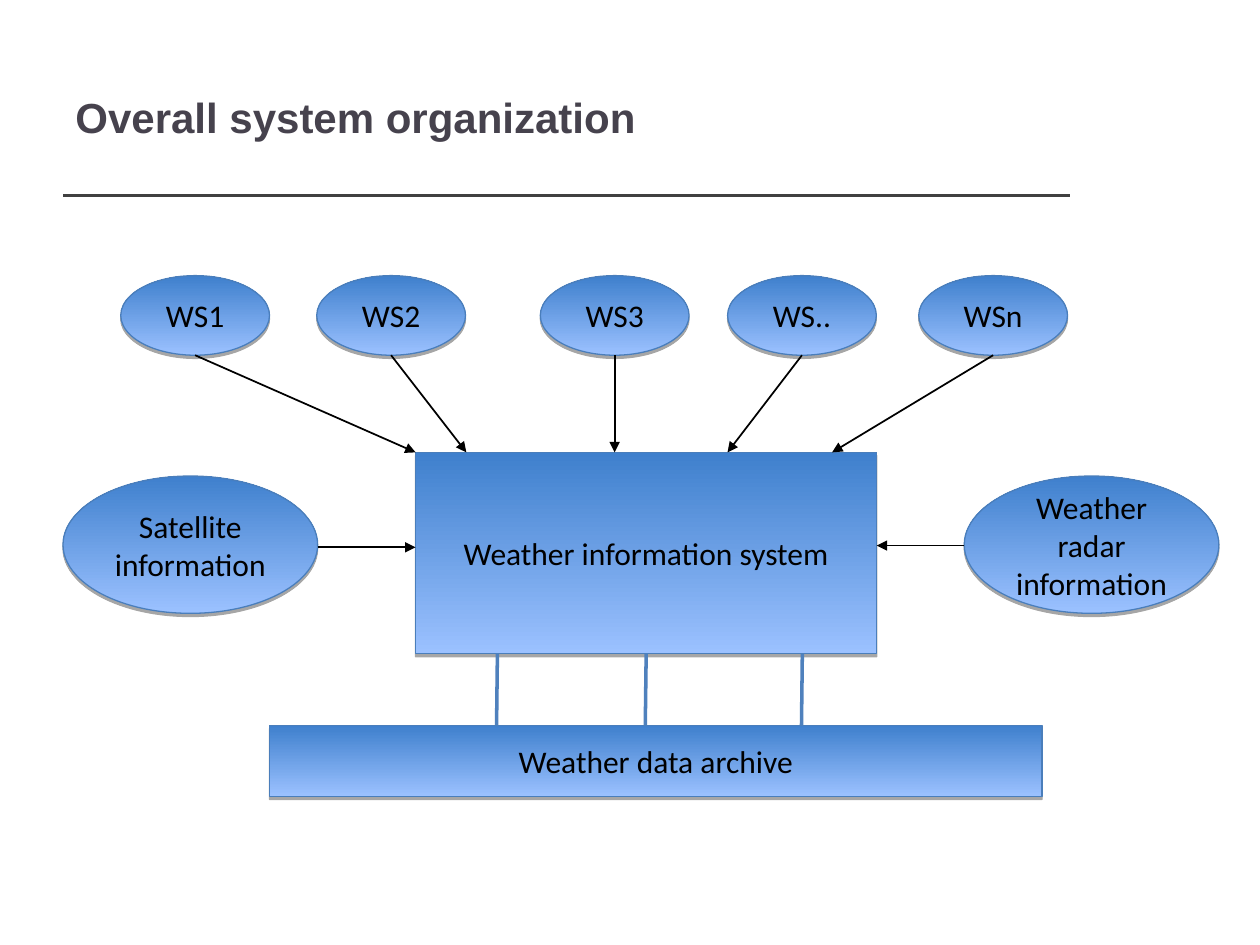
from lxml.etree import SubElement
from pptx import Presentation
from pptx.dml.color import RGBColor
from pptx.enum.shapes import MSO_CONNECTOR as CONN, MSO_SHAPE as SHAPE
from pptx.enum.text import MSO_ANCHOR as ANCHOR, PP_ALIGN as ALIGN
from pptx.oxml.ns import qn
from pptx.util import Pt

BLACK = RGBColor(0x00, 0x00, 0x00)
TITLE = RGBColor(0x46, 0x42, 0x4D)
RULE = RGBColor(0x40, 0x40, 0x40)
LIGHT = RGBColor(0x9B, 0xC1, 0xFF)
DARK = RGBColor(0x3F, 0x80, 0xCD)
BORDER = RGBColor(0x4A, 0x7E, 0xBB)
LINK = RGBColor(0x4F, 0x81, 0xBD)

STATION_TOP, STATION_W, STATION_H = 157.5, 85, 45.5
SYSTEM_LEFT, SYSTEM_TOP, SYSTEM_W, SYSTEM_H = 237.5, 258.5, 263.5, 115
SYSTEM_RIGHT = SYSTEM_LEFT + SYSTEM_W
SYSTEM_BOTTOM = SYSTEM_TOP + SYSTEM_H
ARCHIVE_TOP = 414.5
SOURCE_TOP, SOURCE_W, SOURCE_H = 272, 145.5, 78.5
STATIONS = [
    ("WS1", 69, SYSTEM_LEFT),
    ("WS2", 181, 266.5),
    ("WS3", 308.75, 351.25),
    ("WS..", 415.75, 415.75),
    ("WSn", 525, 475.5),
]


def set_text(sp, text, size=18, font="Calibri", color=BLACK, bold=False, align=ALIGN.CENTER):
    tf = sp.text_frame
    tf.word_wrap = True
    tf.vertical_anchor = ANCHOR.MIDDLE
    p = tf.paragraphs[0]
    p.alignment = align
    r = p.add_run()
    r.text = text
    r.font.size = Pt(size)
    r.font.name = font
    r.font.bold = bold
    r.font.color.rgb = color


def add_shadow(sp):
    sp.shadow.inherit = False
    effects = sp._element.spPr.find(qn("a:effectLst"))
    shadow = SubElement(effects, qn("a:outerShdw"), blurRad="0", dist=str(Pt(1.8)),
                        dir="5400000", rotWithShape="0")
    color = SubElement(shadow, qn("a:srgbClr"), val=str(BLACK))
    SubElement(color, qn("a:alpha"), val="35000")


def add_node(s, kind, text, left, top, width, height):
    sp = s.shapes.add_shape(kind, Pt(left), Pt(top), Pt(width), Pt(height))
    sp.fill.gradient()
    sp.fill.gradient_angle = 90
    for stop, color, position in zip(sp.fill.gradient_stops, (LIGHT, DARK), (0, 1)):
        stop.color.rgb = color
        stop.position = position
    sp.line.color.rgb = BORDER
    sp.line.width = Pt(0.75)
    add_shadow(sp)
    set_text(sp, text)
    return sp


def add_line(s, x1, y1, x2, y2, color=BLACK, width=1, arrow=False):
    line = s.shapes.add_connector(CONN.STRAIGHT, Pt(x1), Pt(y1), Pt(x2), Pt(y2))
    line.line.color.rgb = color
    line.line.width = Pt(width)
    if arrow:
        SubElement(line.line._get_or_add_ln(), qn("a:tailEnd"), type="triangle")
    SubElement(line._element.spPr, qn("a:effectLst"))
    return line


def add_title(s, text):
    add_line(s, 36, 111.75, 611.25, 111.75, color=RULE, width=2)
    box = s.shapes.add_textbox(Pt(36), Pt(21.5), Pt(575), Pt(90))
    set_text(box, text, size=24, font="Arial", color=TITLE, bold=True, align=ALIGN.LEFT)


def main():
    prs = Presentation()
    prs.slide_width, prs.slide_height = Pt(720), Pt(540)
    s = prs.slides.add_slide(prs.slide_layouts[6])

    add_title(s, "Overall system organization")
    system = add_node(s, SHAPE.RECTANGLE, "Weather information system",
                      SYSTEM_LEFT, SYSTEM_TOP, SYSTEM_W, SYSTEM_H)
    add_node(s, SHAPE.RECTANGLE, "Weather data archive", 154, ARCHIVE_TOP, 441.5, 40.5)

    for name, left, target in STATIONS:
        add_node(s, SHAPE.OVAL, name, left, STATION_TOP, STATION_W, STATION_H)
        add_line(s, left + STATION_W / 2, STATION_TOP + STATION_H,
                 target, SYSTEM_TOP, arrow=True)

    sources = [
        ("Satellite information", 36, 36 + SOURCE_W, SYSTEM_LEFT, 312.75),
        ("Weather radar information", 551, 551, SYSTEM_RIGHT, 311.75),
    ]
    for name, left, start, end, y in sources:
        add_node(s, SHAPE.OVAL, name, left, SOURCE_TOP, SOURCE_W, SOURCE_H)
        add_line(s, start, y, end, y, arrow=True)

    middle = SYSTEM_LEFT + SYSTEM_W / 2
    for x in (284.25, middle, 458.5):
        link = add_line(s, x, SYSTEM_BOTTOM, x - 0.5, ARCHIVE_TOP, color=LINK, width=2)
        if x == middle:
            link.begin_connect(system, 2)

    prs.save("out.pptx")


if __name__ == "__main__":
    main()
